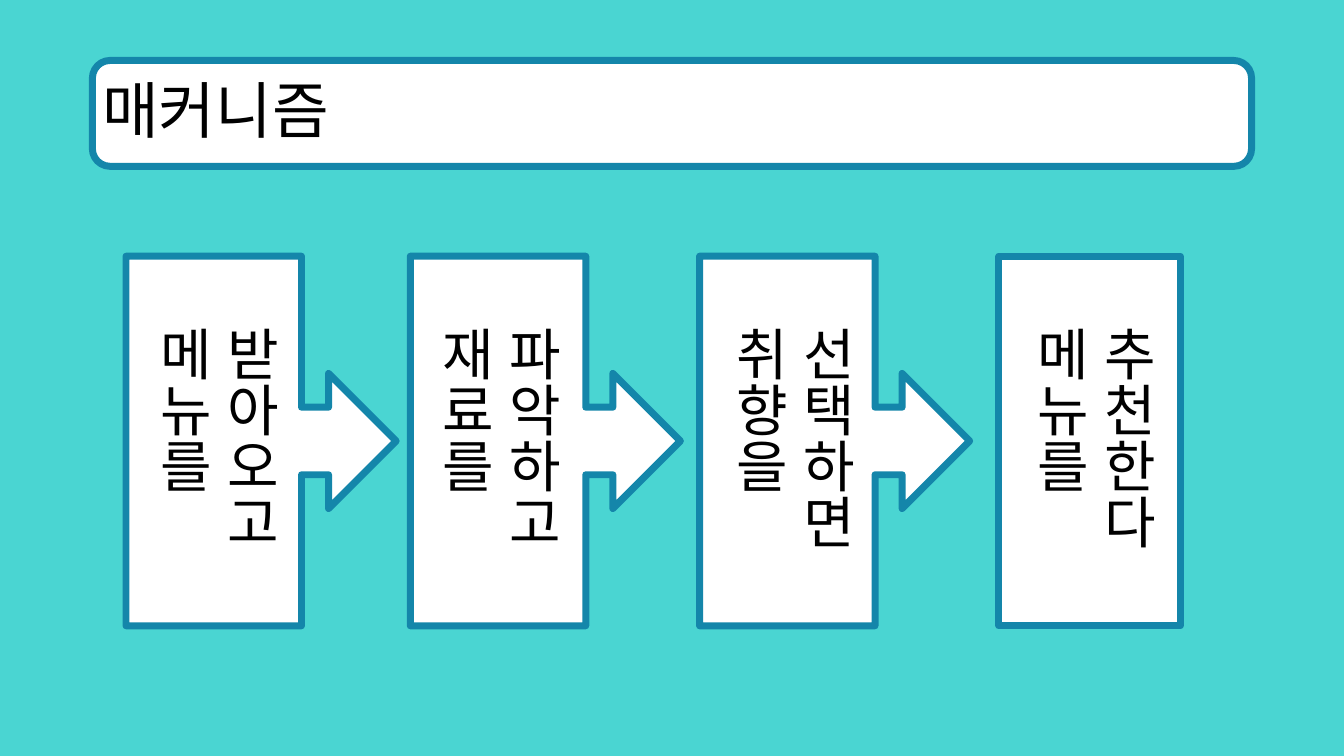
"""Build the mechanism slide: a title bar above four linked steps."""

from dataclasses import dataclass
from typing import Optional

from lxml.etree import SubElement
from pptx import Presentation
from pptx.dml.color import RGBColor
from pptx.enum.shapes import MSO_SHAPE
from pptx.enum.text import MSO_ANCHOR, MSO_AUTO_SIZE
from pptx.oxml.ns import qn
from pptx.slide import Slide
from pptx.util import Inches, Pt

TURQUOISE = RGBColor(0x4A, 0xD5, 0xD2)
TEAL = RGBColor(0x14, 0x86, 0xAA)
WHITE = RGBColor(0xFF, 0xFF, 0xFF)
BLACK = RGBColor(0x00, 0x00, 0x00)
FONT = "Noto Sans CJK KR"

SLIDE_WIDTH, SLIDE_HEIGHT = Inches(13.333), Inches(7.5)
COLUMNS, ROWS = 160, 90
CALLOUT_WIDTH, LAST_WIDTH = 32.16, 21.6


@dataclass(frozen=True)
class Area:
    column: float
    row: float
    columns: float
    rows: float

    def place(self) -> tuple[int, int, int, int]:
        across, down = SLIDE_WIDTH / COLUMNS, SLIDE_HEIGHT / ROWS
        return (round(self.column * across), round(self.row * down),
                round(self.columns * across), round(self.rows * down))


@dataclass(frozen=True)
class Step:
    column: float
    text_column: float
    lines: tuple[str, ...]
    kind: MSO_SHAPE = MSO_SHAPE.RIGHT_ARROW_CALLOUT
    columns: float = CALLOUT_WIDTH


TITLE_BAR = Area(11, 7.2, 138, 12.6)
TITLE_TEXT = Area(11, 4.8, 138, 17.4)
STEPS = (
    Step(15, 15.96, ("받아오고 메뉴를",)),
    Step(48.84, 49.44, ("파악하고", "재료를")),
    Step(83.28, 84.48, ("선택하면", "취향을")),
    Step(118.92, 120.36, ("추천한다", "메뉴를"), MSO_SHAPE.RECTANGLE, LAST_WIDTH),
)


def draw_panel(page: Slide, kind: MSO_SHAPE, area: Area) -> None:
    panel = page.shapes.add_shape(kind, *area.place())
    panel.shadow.inherit = False
    panel.fill.solid()
    panel.fill.fore_color.rgb = WHITE
    panel.line.color.rgb = TEAL
    panel.line.width = Pt(5)


def write_text(page: Slide, area: Area, lines: tuple[str, ...], size: int,
               vertical: bool = False, spacing: Optional[float] = None) -> None:
    frame = page.shapes.add_textbox(*area.place()).text_frame
    frame.word_wrap = True
    if vertical:
        frame.auto_size = MSO_AUTO_SIZE.SHAPE_TO_FIT_TEXT
        frame._txBody.bodyPr.set("vert", "eaVert")
    else:
        frame.vertical_anchor = MSO_ANCHOR.MIDDLE
    for index, line in enumerate(lines):
        para = frame.add_paragraph() if index else frame.paragraphs[0]
        para.line_spacing = spacing
        span = para.add_run()
        span.text = line
        span.font.size = Pt(size)
        span.font.color.rgb = BLACK
        span.font.name = FONT
        SubElement(span.font._element, qn("a:ea")).set("typeface", FONT)


def main() -> None:
    deck = Presentation()
    deck.slide_width, deck.slide_height = SLIDE_WIDTH, SLIDE_HEIGHT
    page = deck.slides.add_slide(deck.slide_layouts[6])
    page.background.fill.solid()
    page.background.fill.fore_color.rgb = TURQUOISE

    draw_panel(page, MSO_SHAPE.ROUNDED_RECTANGLE, TITLE_BAR)
    write_text(page, TITLE_TEXT, ("매커니즘",), 44, spacing=0.9)
    for step in STEPS:
        draw_panel(page, step.kind, Area(step.column, 30.5, step.columns, 44))
        write_text(page, Area(step.text_column, 37.7, 18.6, 35.9), step.lines, 40, vertical=True)
    deck.save("out.pptx")


if __name__ == "__main__":
    main()
